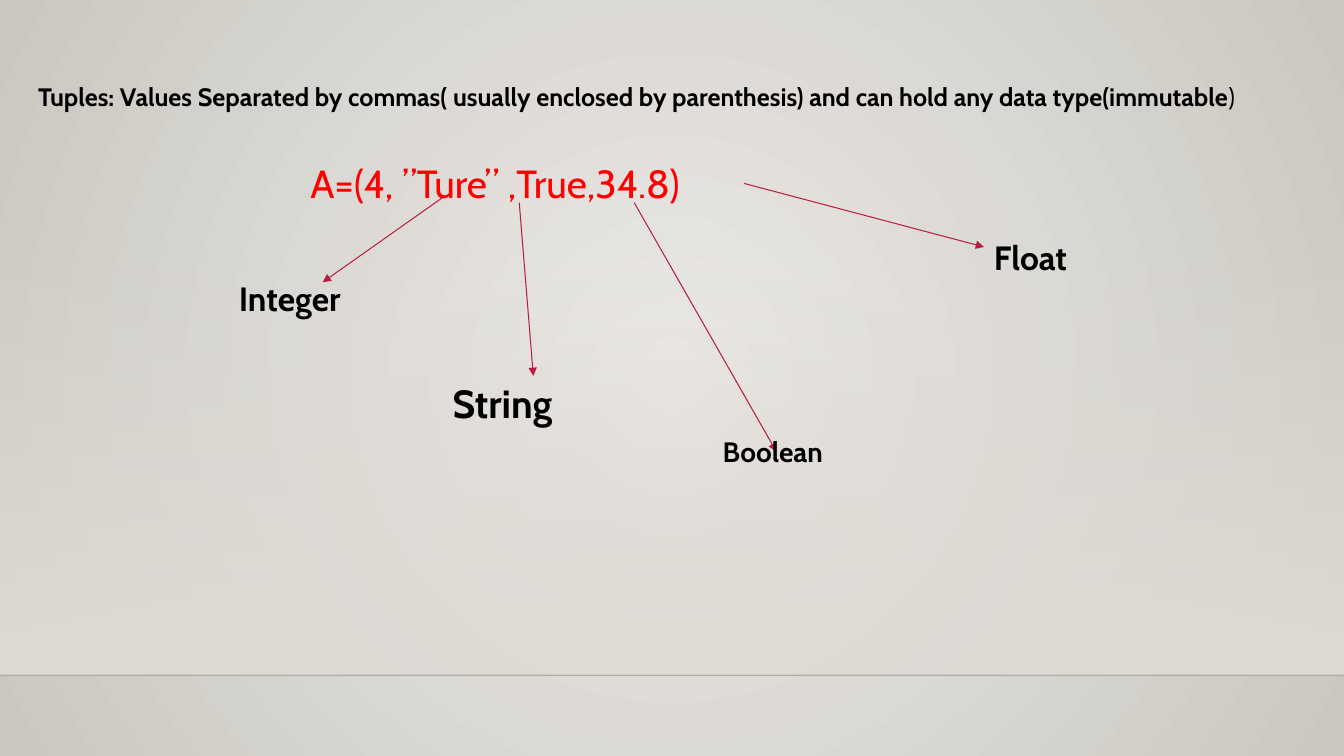
import pptx
import pptx.util
import pptx.dml.color
import pptx.enum.shapes
import pptx.oxml.ns
import lxml.etree

PX = 9144
WIDTH, HEIGHT = 1333, 750
FLOOR = 670
COLORS = {
    "centre": "ECEAE7",
    "edge": "CAC7C1",
    "wall": "DFDBD5",
    "floor_line": "000001",
    "text": "000000",
    "code": "FF0000",
    "arrow": "B71E42",
}
qn = pptx.oxml.ns.qn


def rgb(name):
    return pptx.dml.color.RGBColor.from_string(COLORS[name])


def add_xml(parent, tag, **attributes):
    return lxml.etree.SubElement(parent, qn(tag), attributes)


class Deck:
    font = "Cabin"

    def __init__(self):
        self.prs = pptx.Presentation()
        self.prs.slide_width = WIDTH * PX
        self.prs.slide_height = HEIGHT * PX
        self.s = self.prs.slides.add_slide(self.prs.slide_layouts[6])

    def gradient(self, fill, start, end):
        fill.gradient()
        for stop, color, position in zip(fill.gradient_stops, (start, end), (0, 1)):
            stop.color.rgb = rgb(color)
            stop.position = position

    def background(self, centre, edge):
        self.gradient(self.s.background.fill, centre, edge)
        lin = self.s._element.find(".//" + qn("a:lin"))
        grad = lin.getparent()
        grad.remove(lin)
        radial = add_xml(grad, "a:path", path="circle")
        add_xml(radial, "a:fillToRect", l="50000", t="50000", r="50000", b="50000")

    def fade(self, x, y, w, h, color):
        sp = self.s.shapes.add_shape(
            pptx.enum.shapes.MSO_SHAPE.RECTANGLE, x * PX, y * PX, w * PX, h * PX)
        sp.shadow.inherit = False
        sp.line.fill.background()
        self.gradient(sp.fill, color, color)
        sp.fill.gradient_angle = 270
        add_xml(sp._element.spPr.find(".//" + qn("a:srgbClr")), "a:alpha", val="0")

    def line(self, x1, y1, x2, y2, color, width, alpha=100, arrow=False):
        c = self.s.shapes.add_connector(
            pptx.enum.shapes.MSO_CONNECTOR.STRAIGHT, x1 * PX, y1 * PX, x2 * PX, y2 * PX)
        c.line.color.rgb = rgb(color)
        c.line.width = pptx.util.Pt(width)
        spPr = c._element.spPr
        if alpha < 100:
            add_xml(spPr.find(".//" + qn("a:srgbClr")), "a:alpha", val=str(alpha * 1000))
        if arrow:
            add_xml(spPr.find(qn("a:ln")), "a:tailEnd", type="triangle")
        add_xml(spPr, "a:effectLst")

    def text_box(self, x, y, w, h):
        tf = self.s.shapes.add_textbox(x * PX, y * PX, w * PX, h * PX).text_frame
        tf.word_wrap = True
        return tf

    def run(self, p, text, size, color="text", bold=False):
        r = p.add_run()
        r.text = text
        r.font.name = self.font
        r.font.size = pptx.util.Pt(size)
        r.font.bold = bold
        r.font.color.rgb = rgb(color)

    def label(self, x, y, w, h, text, size):
        tf = self.text_box(x, y, w, h)
        self.run(tf.paragraphs[0], text, size, bold=True)

    def definition(self, x, y, w, h, heading, closing, code, indent, gap):
        tf = self.text_box(x, y, w, h)
        p = tf.paragraphs[0]
        self.run(p, heading, 18, bold=True)
        self.run(p, closing, 18)
        p = tf.add_paragraph()
        p.space_before = pptx.util.Pt(gap)
        p._p.get_or_add_pPr().set("marL", str(indent * PX))
        self.run(p, code, 28, "code")


def main():
    deck = Deck()
    deck.background("centre", "edge")
    deck.fade(0, 221, WIDTH, FLOOR - 221, "wall")
    deck.line(0, FLOOR, WIDTH, FLOOR, "floor_line", 1, alpha=20)
    deck.definition(
        28, 76, 1305, 135,
        "Tuples: Values Separated by commas( usually enclosed by parenthesis) "
        "and can hold any data type(immutable", ")",
        "A=(4, ”Ture” ,True,34.8)", indent=270, gap=34)
    for ends in ((439, 196, 320, 280), (515, 201, 529, 373),
                 (629, 201, 770, 448), (738, 182, 976, 245)):
        deck.line(*ends, "arrow", 0.75, arrow=True)
    for x, y, w, h, text, size in (
            (227, 271, 135, 50, "Integer", 24),
            (439, 371, 132, 57, "String", 28),
            (707, 426, 127, 44, "Boolean", 20),
            (976, 230, 101, 50, "Float", 24)):
        deck.label(x, y, w, h, text, size)
    deck.prs.save("out.pptx")


if __name__ == "__main__":
    main()
